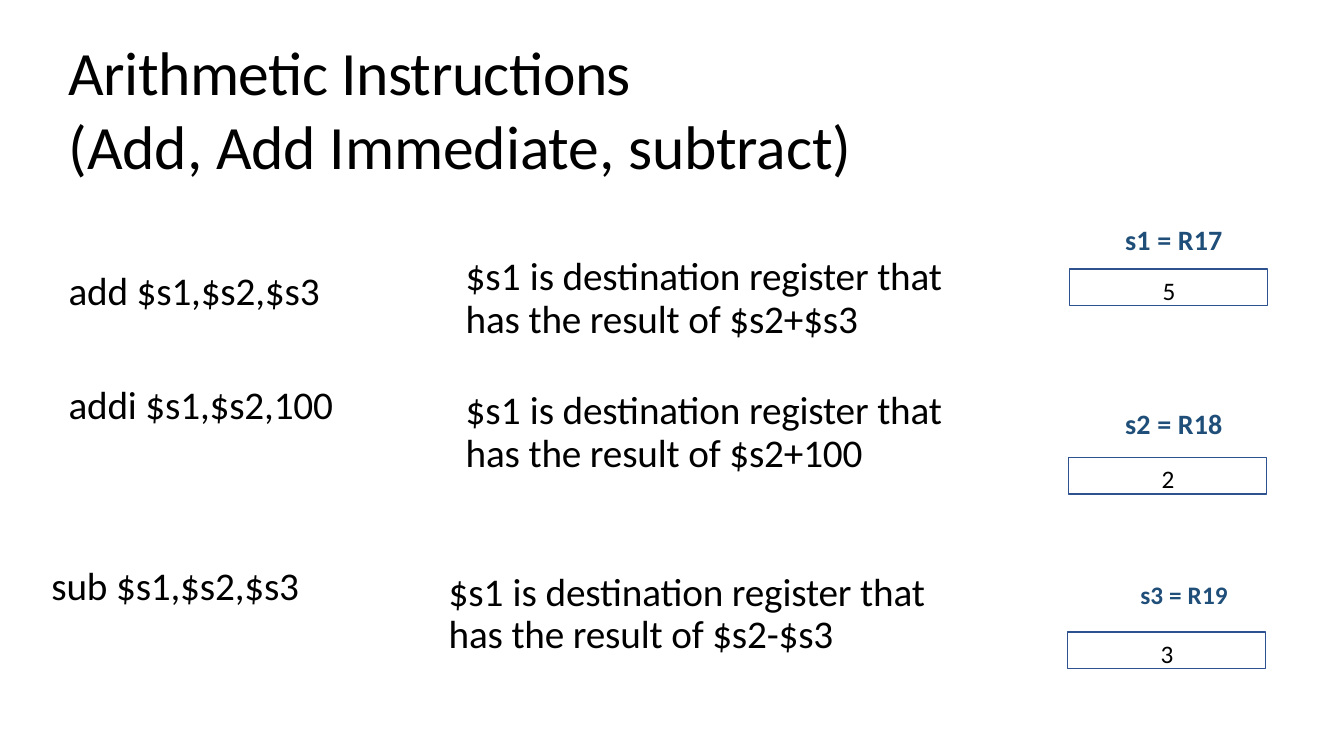
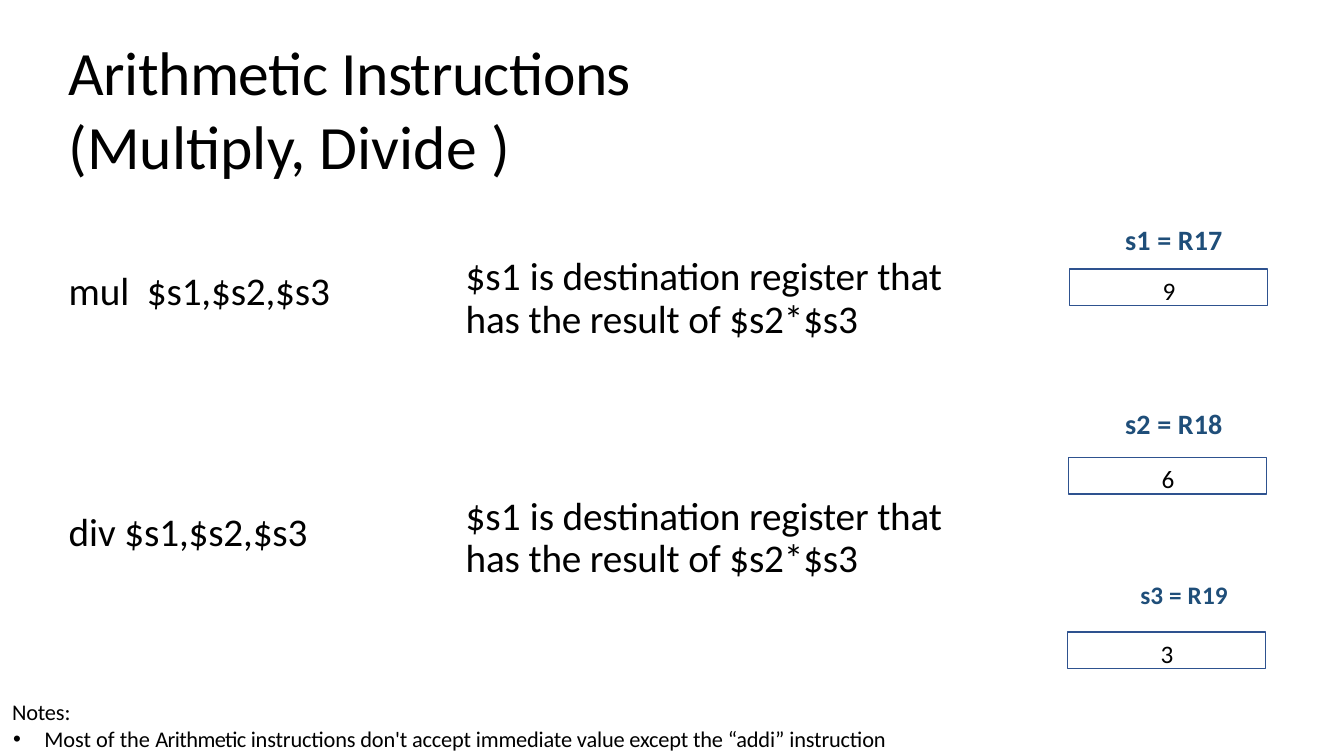
import pptx
import pptx.util
import pptx.dml.color
import pptx.enum.shapes
import pptx.enum.text
import pptx.oxml.ns
from lxml import etree

Inches, Pt = pptx.util.Inches, pptx.util.Pt
ALIGN = pptx.enum.text.PP_ALIGN

FONT, BLACK, NAVY, OUTLINE = "Calibri", "000000", "1F4E79", "2E528F"
TIGHT, TIGHTER, LOOSE = -0.1, -0.4, 0.1

COMMAND_X, MEANING_X = 0.67, 4.61
REGISTERS = [
    ("s1 = R17", 20, (11.15, 2.2, 1.23, 0.35), (10.61, 2.67, 1.96, 0.36)),
    ("s2 = R18", 20, (11.15, 4.02, 1.23, 0.35), (10.6, 4.54, 1.96, 0.36)),
    ("s3 = R19", 18, (11.3, 5.74, 1.17, 0.32), (10.59, 6.27, 1.96, 0.36)),
]
SLIDES = [
    {
        "topic": [("(Add, Add Immediate, subtract)", TIGHT)],
        "instructions": [
            ([("add $s1,$s2,$s3", TIGHT)], "$s2+$s3", 0, 2.63, 0.01, 2.47),
            ([("addi $s1,$s2,100", TIGHT)], "$s2+100", 0, 3.75, 0.02, 3.8),
            ([("sub $s1,$s2,$s3", TIGHT)], "$s2-$s3", -0.17, 5.55, 0.02, 5.6),
        ],
        "values": ["5", "2", "3"],
        "notes": [],
    },
    {
        "topic": [("(", TIGHT), ("Multiply, Divide ", 0), (")", TIGHT)],
        "instructions": [
            ([("mul ", 0), (" $s1,$s2,$s3", TIGHT)], "$s2*$s3", 0, 2.63, 0.01, 2.47),
            ([("div", 0), (" $s1,$s2,$s3", TIGHT)], "$s2*$s3", 0, 5.01, 0.02, 4.85),
        ],
        "values": ["9", "6", "3"],
        "notes": [
            ("Most of the ", 0),
            ("Arithmetic ", TIGHTER),
            ("instructions don't accept immediate value except the \u201caddi\u201d instruction", TIGHT),
        ],
    },
]

STYLES = {
    "title": {"size": 44, "before": 0.9, "top": 0.01},
    "command": {"size": 28, "before": 1.1, "top": 0.01},
    "meaning": {"size": 28, "before": 4.8, "top": 0.07, "leading": 30.3},
    "register": {"size": 20, "before": 1, "top": 0.01, "color": NAVY, "bold": True},
    "value": {"size": 18, "before": 4.3, "top": 0.06, "align": ALIGN.CENTER},
    "notes": {"size": 16, "before": 1, "top": 0.01},
}


def rgb(code):
    return pptx.dml.color.RGBColor.from_string(code)


def prepare(frame, style):
    formats = {
        "word_wrap": True,
        "auto_size": pptx.enum.text.MSO_AUTO_SIZE.NONE,
        "vertical_anchor": pptx.enum.text.MSO_ANCHOR.TOP,
        "margin_left": 0,
        "margin_right": 0,
        "margin_bottom": 0,
        "margin_top": Inches(style["top"]),
    }
    for name, setting in formats.items():
        setattr(frame, name, setting)


def write(paragraph, runs, style):
    formats = {
        "alignment": style.get("align", ALIGN.LEFT),
        "space_before": Pt(style["before"]),
        "line_spacing": Pt(style["leading"]) if "leading" in style else None,
    }
    for name, setting in formats.items():
        setattr(paragraph, name, setting)
    indent(paragraph, 0.01, 0)
    add_runs(paragraph, runs, style)


def add_runs(paragraph, runs, style):
    for text, spacing in runs:
        run = paragraph.add_run()
        run.text = text
        formats = {"name": FONT, "size": Pt(style["size"]), "bold": style.get("bold", False)}
        for name, setting in formats.items():
            setattr(run.font, name, setting)
        run.font.color.rgb = rgb(style.get("color", BLACK))
        if spacing:
            run.font._element.set("spc", str(round(spacing * 100)))


def indent(paragraph, left, first):
    properties = paragraph._p.get_or_add_pPr()
    properties.set("marL", str(Inches(left)))
    properties.set("indent", str(Inches(first)))
    return properties


def add_text(slide, box, runs, style):
    frame = slide.shapes.add_textbox(*map(Inches, box)).text_frame
    prepare(frame, style)
    write(frame.paragraphs[0], runs, style)
    return frame


def add_title(slide, topic):
    style = STYLES["title"]
    frame = add_text(slide, (0.67, 0.32, 10.16, 1.49), [("Arithmetic Instructions", TIGHTER)], style)
    frame.vertical_anchor = pptx.enum.text.MSO_ANCHOR.MIDDLE
    frame.paragraphs[0].add_line_break()
    add_runs(frame.paragraphs[0], topic, style)


def add_instruction(slide, command, result, shift, command_y, command_top, meaning_y):
    add_text(slide, (COMMAND_X + shift, command_y, 3.45, 0.49), command,
             {**STYLES["command"], "top": command_top})
    meaning = [("$s", TIGHT), ("1 ", LOOSE), ("is", 0),
               (" destination register that has the result of " + result, TIGHT)]
    add_text(slide, (MEANING_X + shift, meaning_y, 5.23, 0.91), meaning, STYLES["meaning"])


def add_register(slide, label, size, label_box, value_box, value):
    add_text(slide, label_box, [(label, LOOSE)], {**STYLES["register"], "size": size})
    cell = slide.shapes.add_shape(pptx.enum.shapes.MSO_SHAPE.RECTANGLE, *map(Inches, value_box))
    cell.shadow.inherit = False
    cell.fill.background()
    cell.line.color.rgb = rgb(OUTLINE)
    cell.line.width = Pt(0.96)
    prepare(cell.text_frame, STYLES["value"])
    write(cell.text_frame.paragraphs[0], [(value, 0)], STYLES["value"])


def add_notes(slide, runs):
    style = STYLES["notes"]
    frame = add_text(slide, (0.11, 6.92, 9.2, 0.55), [("Notes:", TIGHT)], style)
    point = frame.add_paragraph()
    write(point, runs, {**style, "before": 0})
    properties = indent(point, 0.33, -0.31)
    for tag, name, setting in [("a:buFont", "typeface", "Arial"), ("a:buChar", "char", "\u2022")]:
        etree.SubElement(properties, pptx.oxml.ns.qn(tag)).set(name, setting)


deck = pptx.Presentation()
deck.slide_width, deck.slide_height = Inches(13.33), Inches(7.5)
for content in SLIDES:
    slide = deck.slides.add_slide(deck.slide_layouts[6])
    add_title(slide, content["topic"])
    for instruction in content["instructions"]:
        add_instruction(slide, *instruction)
    for register, value in zip(REGISTERS, content["values"]):
        add_register(slide, *register, value)
    if content["notes"]:
        add_notes(slide, content["notes"])
deck.save("out.pptx")
